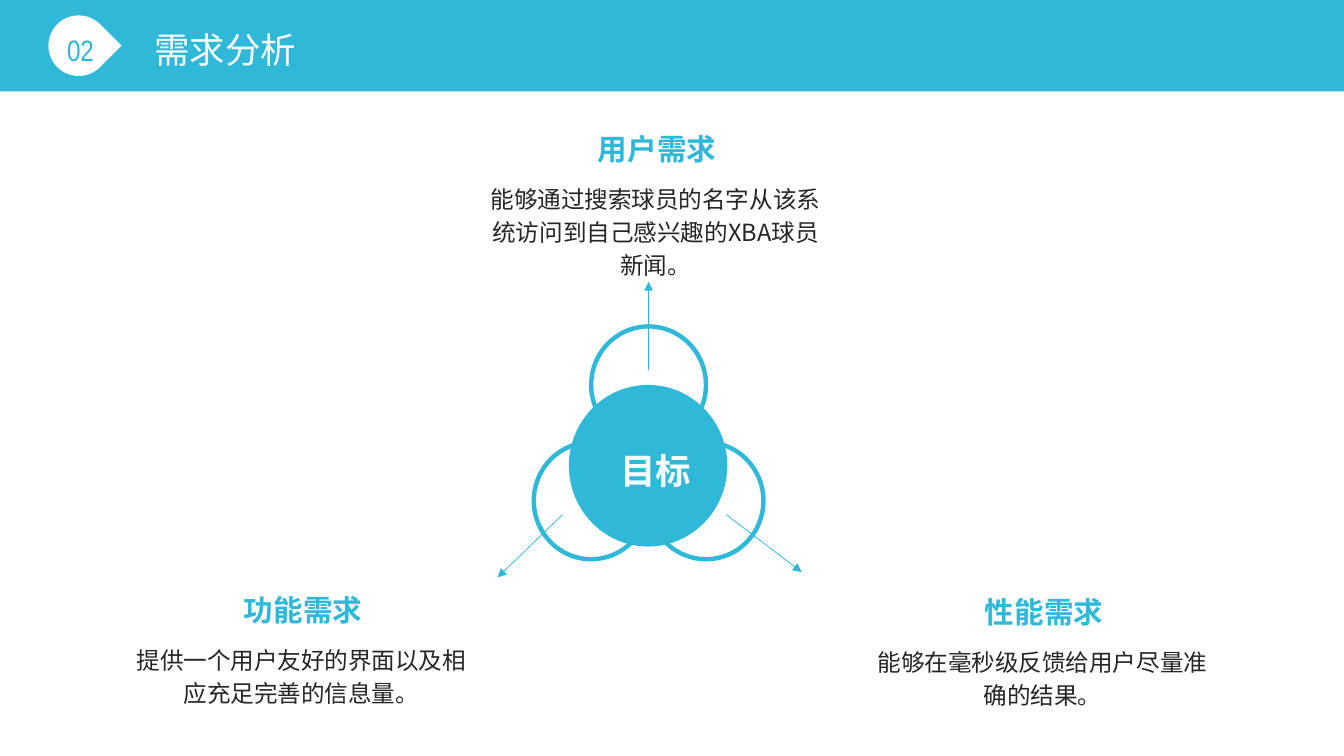
from lxml import etree
from pptx import Presentation
from pptx.dml.color import RGBColor
from pptx.enum.shapes import MSO_CONNECTOR, MSO_SHAPE
from pptx.enum.text import MSO_ANCHOR, MSO_AUTO_SIZE, PP_ALIGN
from pptx.oxml.ns import qn
from pptx.util import Inches, Pt

# Content
SECTION_NUMBER = "02"
TITLE = "需求分析"
GOAL = "目标"
NEEDS = [  # heading, text, heading left and top, text height
    ("用户需求", "能够通过搜索球员的名字从该系统访问到自己感兴趣的XBA球员新闻。", 4.52, 1.11, 1.06),
    ("功能需求", "提供一个用户友好的界面以及相应充足完善的信息量。", 1.19, 5.44, 0.74),
    ("性能需求", "能够在毫秒级反馈给用户尽量准确的结果。", 8.16, 5.46, 0.74),
]
RING_CENTERS = [(6.1, 3.62), (5.56, 4.71), (6.64, 4.71)]
ARROWS = [  # from x, y to x, y
    (6.1, 3.48, 6.1, 2.65),
    (5.29, 4.84, 4.68, 5.43),
    (6.83, 4.84, 7.54, 5.38),
]

# Look
BLUE = RGBColor(0x30, 0xB8, 0xD8)
WHITE = RGBColor(0xFF, 0xFF, 0xFF)
DARK = RGBColor(0x26, 0x26, 0x26)
CJK_FONT = "Noto Sans CJK SC"
NUMBER_FONT = "Arial Narrow"
FRAME = {
    "word_wrap": True,
    "auto_size": MSO_AUTO_SIZE.SHAPE_TO_FIT_TEXT,
    "vertical_anchor": MSO_ANCHOR.TOP,
    "margin_left": Inches(0.14),
    "margin_right": Inches(0.14),
    "margin_top": Inches(0.07),
    "margin_bottom": Inches(0.07),
}
HEADING = {"size": Pt(20), "bold": True}
BODY = {"size": Pt(16), "bold": False}
LARGE = {"size": Pt(24), "bold": False}


def write(shape, text, color, font_format, align=PP_ALIGN.CENTER, typeface=CJK_FONT):
    frame = shape.text_frame
    for name, value in FRAME.items():
        setattr(frame, name, value)
    paragraph = frame.paragraphs[0]
    paragraph.alignment = align
    paragraph.line_spacing = 1.16
    run = paragraph.add_run()
    run.text = text
    for name, value in font_format.items():
        setattr(run.font, name, value)
    run.font.color.rgb = color
    run.font.name = typeface
    east_asian = etree.SubElement(run.font._element, qn("a:ea"))
    east_asian.set("typeface", typeface)


def add_text(slide, box, *args, **kwargs):
    write(slide.shapes.add_textbox(*map(Inches, box)), *args, **kwargs)


def add_solid(slide, kind, box, color):
    shape = slide.shapes.add_shape(kind, *map(Inches, box))
    shape.shadow.inherit = False
    shape.fill.solid()
    shape.fill.fore_color.rgb = color
    shape.line.fill.background()
    return shape


def add_ring(slide, x, y, width=1.08, height=1.1):
    box = (x - width / 2, y - height / 2, width, height)
    ring = slide.shapes.add_shape(MSO_SHAPE.OVAL, *map(Inches, box))
    ring.shadow.inherit = False
    ring.fill.background()
    ring.line.color.rgb = BLUE
    ring.line.width = Pt(3)


def add_arrow(slide, ends):
    arrow = slide.shapes.add_connector(MSO_CONNECTOR.STRAIGHT, *map(Inches, ends))
    arrow.line.color.rgb = BLUE
    arrow.line.width = Pt(0.5)
    etree.SubElement(arrow.line._get_or_add_ln(), qn("a:tailEnd")).set("type", "triangle")
    etree.SubElement(arrow._element.spPr, qn("a:effectLst"))


def main():
    presentation = Presentation()
    presentation.slide_width = Inches(12.64)
    presentation.slide_height = Inches(7.11)
    slide = presentation.slides.add_slide(presentation.slide_layouts[5])

    # Header band with section number and title
    add_solid(slide, MSO_SHAPE.RECTANGLE, (0, 0, 12.64, 0.86), BLUE)
    drop = add_solid(slide, MSO_SHAPE.TEAR, (0.455, 0.145, 0.57, 0.57), WHITE)
    drop.rotation = 45
    add_text(slide, (0.49, 0.18, 0.78, 0.5), SECTION_NUMBER, BLUE, {"size": Pt(20)},
             PP_ALIGN.LEFT, NUMBER_FONT)
    title = slide.shapes.title
    title.left, title.top, title.width, title.height = map(Inches, (1.31, 0.13, 3.73, 0.6))
    write(title, TITLE, WHITE, LARGE, PP_ALIGN.LEFT)
    drop._element.getparent().append(title._element)  # bring in front of the band

    # Goal disc with rings and arrows
    for center in RING_CENTERS:
        add_ring(slide, *center)
    add_solid(slide, MSO_SHAPE.OVAL, (5.35, 3.62, 1.49, 1.52), BLUE)
    for ends in ARROWS:
        add_arrow(slide, ends)
    add_text(slide, (5.4, 4.09, 1.53, 0.6), GOAL, WHITE, {**LARGE, "bold": True})

    # Needs around the goal
    for heading, text, left, top, height in NEEDS:
        add_text(slide, (left, top, 3.32, 0.51), heading, BLUE, HEADING)
        add_text(slide, (left - 0.05, top + 0.52, 3.39, height), text, DARK, BODY)

    presentation.save("out.pptx")


if __name__ == "__main__":
    main()
